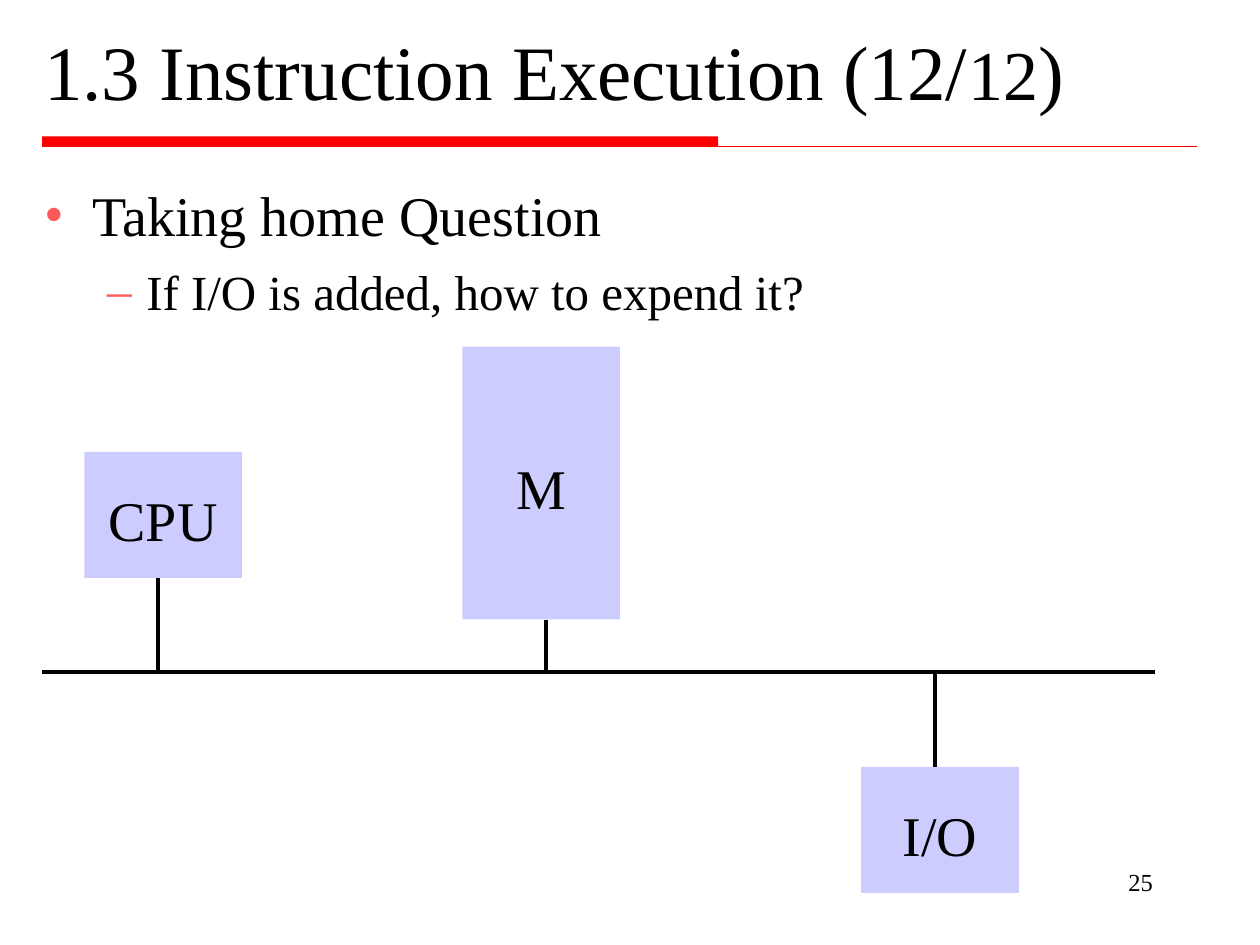
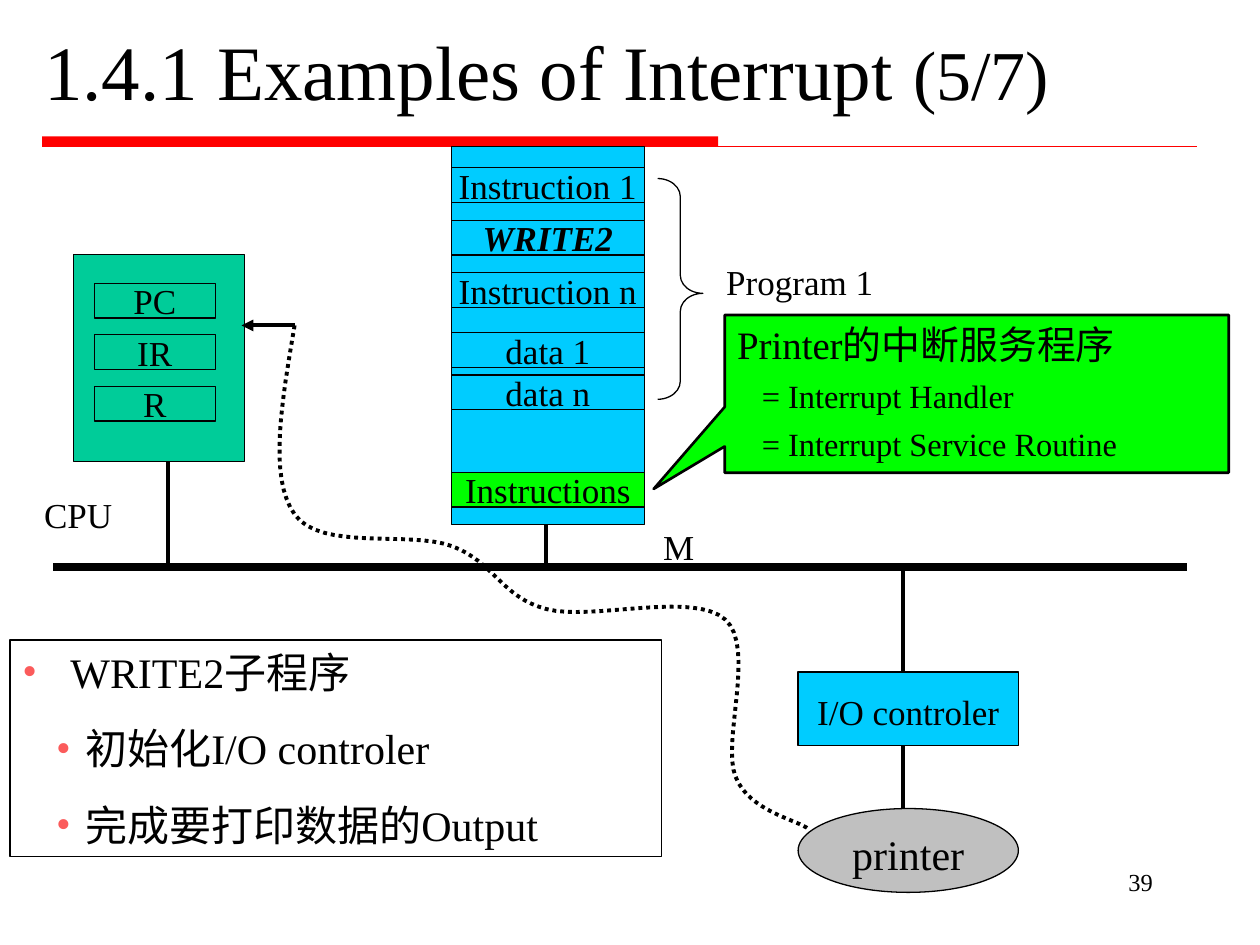
from collections import namedtuple
from dataclasses import dataclass

from lxml.etree import SubElement
from pptx import Presentation
from pptx.dml.color import RGBColor
from pptx.enum.dml import MSO_LINE
from pptx.enum.shapes import MSO_CONNECTOR, MSO_SHAPE
from pptx.enum.text import MSO_ANCHOR, PP_ALIGN
from pptx.oxml.ns import qn
from pptx.util import Cm, Pt


@dataclass(frozen=True)
class Theme:
    font: str = "Times New Roman"
    ink: str = "000000"
    rule: str = "FF0000"
    bullet: str = "FB5B5B"
    device: str = "CCCCFF"
    memory: str = "00CCFF"
    cpu: str = "00CC99"
    handler: str = "00FF00"
    printer: str = "C0C0C0"
    title: float = 44
    title_small: float = 40
    body: float = 32
    sub_body: float = 28
    note: float = 24
    label: float = 20
    callout_head: float = 22.2
    callout: float = 18.5
    page: float = 14
    thin: float = 0.75
    outline: float = 1.5
    wire: float = 2.25
    bus: float = 4.5


THEME = Theme()
Box = namedtuple("Box", "x y w h")  # centimetres
CELL_HEIGHT = 0.7


def inside(box, x, y, w, h):
    """Box of size w by h, offset from the corner of another box."""
    return Box(box.x + x, box.y + y, w, h)


def apply(target, values):
    for name, value in values.items():
        setattr(target, name, value)


def lengths(box):
    return [Cm(value) for value in box]


# ---- Text ----

def add_bullet(paragraph, character, margin, indent):
    properties = paragraph._p.get_or_add_pPr()
    properties.set("marL", str(Cm(margin)))
    properties.set("indent", str(Cm(indent)))
    if character:
        color = SubElement(properties, qn("a:buClr"))
        SubElement(color, qn("a:srgbClr"), val=THEME.bullet)
        SubElement(properties, qn("a:buFont"), typeface=THEME.font)
        SubElement(properties, qn("a:buChar"), char=character)


def write(paragraph, text, size, bullet=None, font=None, **values):
    if bullet:
        add_bullet(paragraph, *bullet)
    apply(paragraph, values)
    run = paragraph.add_run()
    run.text = text
    apply(run.font, {"name": THEME.font, "size": Pt(size), **(font or {})})
    run.font.color.rgb = RGBColor.from_string(THEME.ink)


def write_lines(frame, lines, space):
    """Write (text, size, bullet) lines with even gaps between them."""
    for number, (text, size, bullet) in enumerate(lines):
        paragraph = frame.add_paragraph() if number else frame.paragraphs[0]
        write(paragraph, text, size, bullet, space_before=Pt(space if number else 0))


def add_text_box(slide, box, anchor=MSO_ANCHOR.TOP):
    frame = slide.shapes.add_textbox(*lengths(box)).text_frame
    apply(frame, {"word_wrap": True, "vertical_anchor": anchor})
    return frame


def add_label(slide, box, text):
    write(add_text_box(slide, box).paragraphs[0], text, THEME.label)


# ---- Shapes and lines ----

def style(shape, fill=None, width=None):
    shape.shadow.inherit = False
    if fill:
        shape.fill.solid()
        shape.fill.fore_color.rgb = RGBColor.from_string(fill)
    else:
        shape.fill.background()
    if width:
        shape.line.color.rgb = RGBColor.from_string(THEME.ink)
        shape.line.width = Pt(width)
    else:
        shape.line.fill.background()


def add_shape(slide, box, fill=None, width=None, kind=MSO_SHAPE.RECTANGLE):
    shape = slide.shapes.add_shape(kind, *lengths(box))
    style(shape, fill, width)
    return shape


def add_block(slide, box, text, fill, size=THEME.label, width=THEME.thin,
              drop=0, font=None, kind=MSO_SHAPE.RECTANGLE):
    """Shape with one centred line of text, lowered by half of drop."""
    frame = add_shape(slide, box, fill, width, kind).text_frame
    apply(frame, {"word_wrap": False, "vertical_anchor": MSO_ANCHOR.MIDDLE,
                  "margin_top": Cm(0.13 + drop)})
    write(frame.paragraphs[0], text, size, font=font, alignment=PP_ALIGN.CENTER)


def add_line(slide, start, end, width=THEME.wire, color=THEME.ink, arrow=False):
    line = slide.shapes.add_connector(
        MSO_CONNECTOR.STRAIGHT, *lengths(start), *lengths(end))
    line.line.color.rgb = RGBColor.from_string(color)
    line.line.width = Pt(width)
    if arrow:
        SubElement(line.line._get_or_add_ln(), qn("a:tailEnd"), type="triangle")
    SubElement(line._element.spPr, qn("a:effectLst"))


def curve_points(start, segments, steps=16):
    """Points along a chain of cubic curves."""
    points = [start]
    for first, second, end in segments:
        for step in range(1, steps + 1):
            t = step / steps
            weights = ((1 - t) ** 3, 3 * t * (1 - t) ** 2, 3 * t * t * (1 - t), t ** 3)
            corners = list(zip(start, first, second, end))
            points.append(tuple(
                sum(w * c for w, c in zip(weights, axis)) for axis in corners))
        start = end
    return points


# ---- Shared frame of the slides ----

def add_frame(presentation, title_runs, page):
    slide = presentation.slides.add_slide(presentation.slide_layouts[6])
    # Red rule
    rule = Box(0.85, 2.75, 23.28, 0.21)
    add_shape(slide, rule._replace(w=13.63), THEME.rule)
    base = rule.y + rule.h
    add_line(slide, (rule.x, base), (rule.x + rule.w, base), THEME.thin, THEME.rule)
    # Page number
    footer = add_text_box(slide, Box(18.2, 17.36, 5.29, 1.27))
    write(footer.paragraphs[0], page, THEME.page, alignment=PP_ALIGN.RIGHT)
    # Title
    title = add_text_box(slide, Box(0.64, 0.42, 23.71, 2.33), MSO_ANCHOR.MIDDLE)
    for text, size in title_runs:
        write(title.paragraphs[0], text, size, line_spacing=0.8)
    return slide


# ---- Slide with the question ----

def add_question(slide, box):
    write_lines(add_text_box(slide, box), [
        ("Taking home Question", THEME.body, ("•", 0.97, -0.97)),
        ("If I/O is added, how to expend it?", THEME.sub_body, ("–", 2.06, -0.79)),
    ], space=8)


def add_bus_diagram(slide, box):
    bus_y = 6.56
    add_line(slide, (box.x, box.y + bus_y), (box.x + box.w, box.y + bus_y))
    # Name, left, top, height, wire position
    devices = [
        ("CPU", 0.85, 2.12, 2.54, 2.33),
        ("M", 8.47, 0, 5.5, 10.16),
        ("I/O", 16.51, 8.47, 2.54, 17.99),
    ]
    for name, left, top, height, wire in devices:
        add_block(slide, inside(box, left, top, 3.18, height), name, THEME.device,
                  THEME.body, width=None, drop=0.16)
        edge = top + height if top < bus_y else top
        add_line(slide, (box.x + wire, box.y + edge), (box.x + wire, box.y + bus_y))


# ---- Slide with the interrupt ----

def add_cpu(slide, box):
    add_shape(slide, box, THEME.cpu, THEME.thin)
    add_label(slide, inside(box, -0.84, 4.7, 2.51, 1.12), "CPU")
    for row, register in enumerate(("PC", "IR", "R")):
        cell = inside(box, 0.42, 0.58 + row * 1.04, 2.44, CELL_HEIGHT)
        add_block(slide, cell, register, THEME.cpu)


def add_memory(slide, box):
    add_shape(slide, box, THEME.memory, THEME.thin)
    # Cells
    emphasis = {"bold": True, "italic": True}
    cells = [
        ("Instruction 1", 0.42, THEME.memory, None),
        ("WRITE2", 1.48, THEME.memory, emphasis),
        ("Instruction n", 2.54, THEME.memory, None),
        ("data 1", 3.75, THEME.memory, None),
        ("data n", 4.6, THEME.memory, None),
        ("Instructions", 6.56, THEME.handler, None),
    ]
    for text, top, fill, font in cells:
        add_block(slide, inside(box, 0, top, box.w, CELL_HEIGHT), text, fill, font=font)
    # Program brace and labels
    brace = add_shape(slide, inside(box, 4.16, 0.64, 0.91, 4.45), None, THEME.thin,
                      MSO_SHAPE.RIGHT_BRACE)
    brace.adjustments[0], brace.adjustments[1] = 0.4, 0.52
    add_label(slide, inside(box, 5.29, 2.17, 4.42, 1.12), "Program 1")
    add_label(slide, inside(box, 4.02, 7.51, 2.51, 1.12), "M")


def add_io_chain(slide, box):
    wire = box.x + 2.12
    controller = inside(box, 0, 2.12, box.w, 1.48)
    printer = inside(box, 0, 4.87, box.w, 1.69)
    add_block(slide, controller, "I/O controler", THEME.memory, drop=0.1)
    add_block(slide, printer, "printer", THEME.printer, THEME.note, drop=0.12,
              kind=MSO_SHAPE.OVAL)
    add_line(slide, (wire, box.y), (wire, controller.y))
    add_line(slide, (wire, controller.y + controller.h), (wire, printer.y))


def add_subroutine(slide, box):
    frame = add_shape(slide, box, None, THEME.thin).text_frame
    apply(frame, {"word_wrap": True, "vertical_anchor": MSO_ANCHOR.TOP})
    step = ("•", 1.27, -0.59)
    write_lines(frame, [
        ("WRITE2子程序", THEME.note, ("•", 0.97, -0.97)),
        ("初始化I/O controler", THEME.note, step),
        ("完成要打印数据的Output", THEME.note, step),
    ], space=15)
    for paragraph in frame.paragraphs:
        paragraph.alignment = PP_ALIGN.LEFT


def add_interrupt_signal(slide, box):
    segments = [
        ((0.27, 1.54), (0, 3.07), (0.53, 3.81)),
        ((1.06, 4.56), (2.84, 4.13), (3.7, 4.45)),
        ((4.56, 4.77), (4.69, 5.48), (5.61, 5.72)),
        ((6.52, 5.96), (8.57, 5.35), (9.21, 5.93)),
        ((9.84, 6.49), (9.13, 8.4), (9.42, 9.1)),
        ((9.69, 9.8), (10.68, 9.97), (box.w, box.h)),
    ]
    points = [lengths((box.x + x, box.y + y))
              for x, y in curve_points((0.53, 0), segments)]
    builder = slide.shapes.build_freeform(*points[0])
    builder.add_line_segments(points[1:], close=False)
    signal = builder.convert_to_shape()
    style(signal, None, THEME.wire)
    signal.line.dash_style = MSO_LINE.ROUND_DOT
    # Arrow into the CPU
    add_line(slide, (box.x + 0.53, box.y), (box.x - 0.54, box.y), arrow=True)


def add_handler_callout(slide, box):
    callout = add_shape(slide, box, THEME.handler, THEME.outline,
                        MSO_SHAPE.RECTANGULAR_CALLOUT)
    callout.adjustments[0], callout.adjustments[1] = -0.641, 0.603
    frame = callout.text_frame
    apply(frame, {"word_wrap": True, "vertical_anchor": MSO_ANCHOR.TOP})
    indented = (None, 0.5, 0)
    write_lines(frame, [
        ("Printer的中断服务程序", THEME.callout_head, None),
        ("= Interrupt Handler", THEME.callout, indented),
        ("= Interrupt Service Routine", THEME.callout, indented),
    ], space=5)
    for paragraph in frame.paragraphs:
        paragraph.alignment = PP_ALIGN.LEFT


def question_slide(presentation):
    slide = add_frame(presentation, [
        ("1.3 Instruction Execution (12/", THEME.title),
        ("12", THEME.title_small), (")", THEME.title)], "25")
    add_question(slide, Box(0.64, 3.52, 23.71, 13.4))
    add_bus_diagram(slide, Box(0.85, 6.99, 22.43, 11.01))


def interrupt_slide(presentation):
    slide = add_frame(presentation, [
        ("1.4.1 Examples of Interrupt ", THEME.title),
        ("(5/7)", THEME.title_small)], "39")
    cpu, memory = Box(1.48, 5.13, 3.45, 4.17), Box(9.1, 2.96, 3.89, 7.62)
    bus_y = 11.43
    add_cpu(slide, cpu)
    add_memory(slide, memory)
    # Bus and its wires
    add_line(slide, (1.07, bus_y), (23.92, bus_y), THEME.bus)
    for wire, unit in ((3.39, cpu), (11.01, memory)):
        add_line(slide, (wire, unit.y + unit.h), (wire, bus_y))
    add_io_chain(slide, Box(16.09, bus_y, 4.44, 6.56))
    add_subroutine(slide, Box(0.2, 12.9, 13.13, 4.37))
    add_interrupt_signal(slide, Box(5.41, 6.56, 10.9, 10.16))
    add_handler_callout(slide, Box(14.61, 6.35, 10.16, 3.18))


def main():
    presentation = Presentation()
    apply(presentation, {"slide_width": Cm(25.4), "slide_height": Cm(19.05)})
    question_slide(presentation)
    interrupt_slide(presentation)
    presentation.save("out.pptx")


if __name__ == "__main__":
    main()
